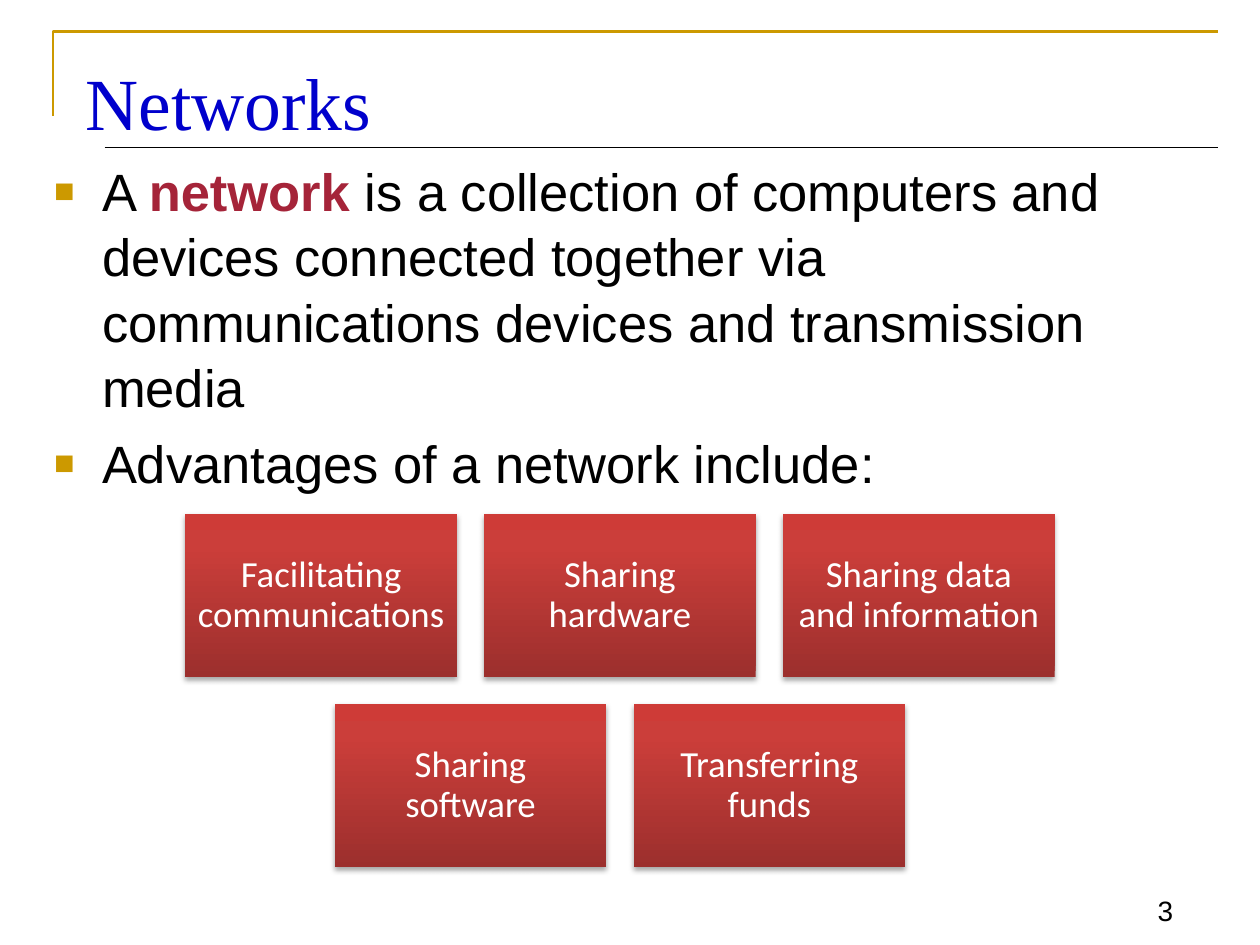
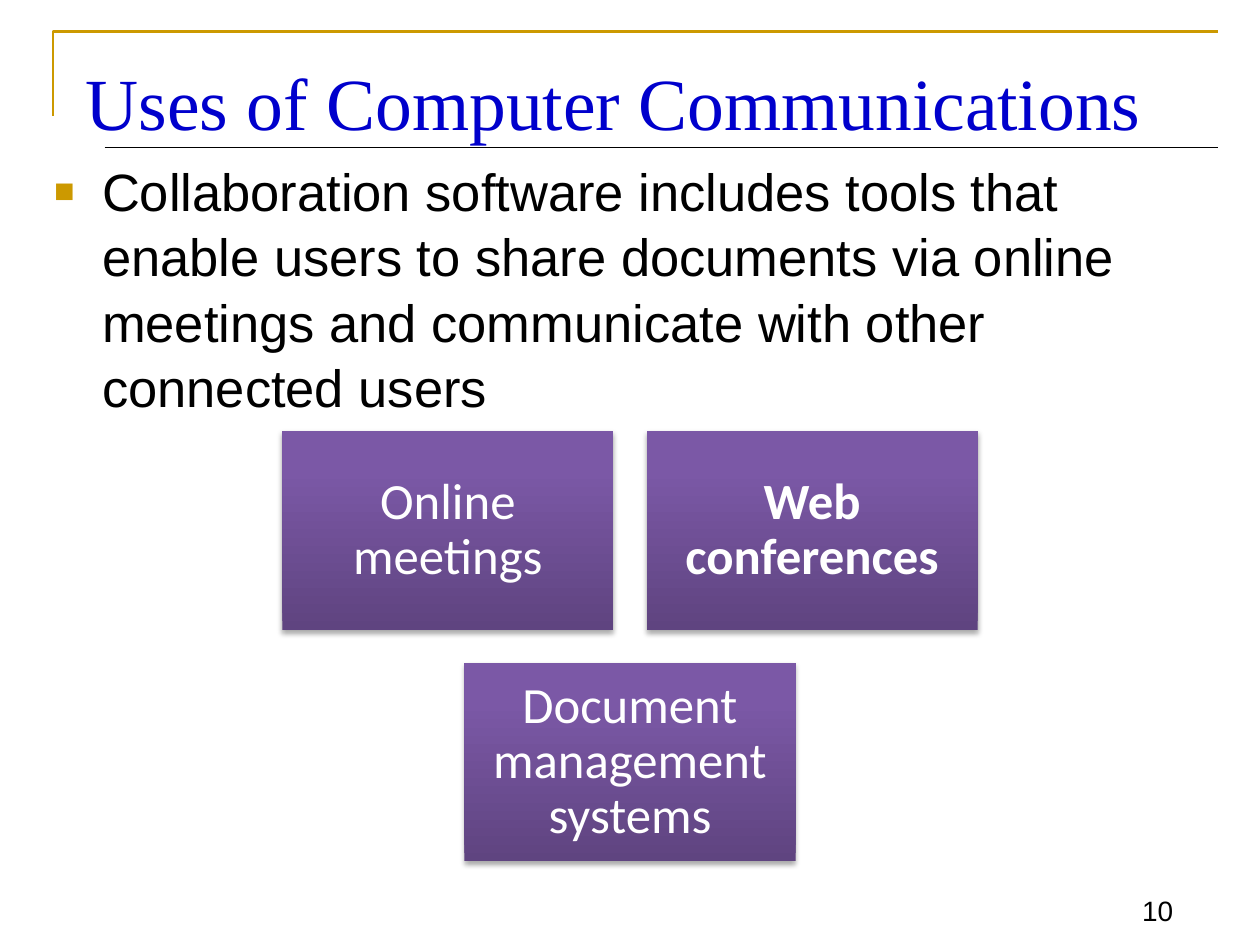
"""Builds two slides on computer networks with a shared frame and card grids."""
from collections import namedtuple

from lxml import etree
from pptx import Presentation
from pptx import util as u
from pptx.dml.color import RGBColor
from pptx.enum import shapes, text
from pptx.oxml import ns, parse_xml

Box = namedtuple("Box", "left top width height")

GOLD, BLACK, WHITE, BLUE, CRIMSON = "CC9900", "000000", "FFFFFF", "0000CC", "A52439"
RED_STOPS = [(0, "9C2F2D"), (80, "CB3E3A"), (100, "CE3B37")]
PURPLE_STOPS = [(0, "5F4480"), (80, "7B58A6"), (100, "7C57A8")]
FRAME = Box(0.42, 0.25, 9.25, 0.92)
TITLE = Box(0.58, 0.33, 9.08, 0.75)
NUMBER = Box(8.75, 6.92, 0.66, 0.49)


def colour(value):
    """Return the colour for a hex string."""
    return RGBColor.from_string(value)


def inches(box):
    """Return the four sides of a box as lengths."""
    return [u.Inches(side) for side in box]


def drawing(markup):
    """Return a DrawingML element made from markup."""
    return parse_xml(markup.replace(" ", f" {ns.nsdecls('a')} ", 1))


def write(para, words, size=30, font="Arial", color=BLACK, bold=False):
    """Add a formatted span to a paragraph."""
    span = para.add_run()
    span.text = words
    span.font.size = u.Pt(size)
    span.font.name = font
    span.font.bold = bold
    span.font.color.rgb = colour(color)


def prepare(shape, anchor, insets=(0.1, 0.05, 0.1, 0.05)):
    """Set wrapping, anchor and insets, and return the first paragraph."""
    frame = shape.text_frame
    frame.word_wrap = True
    frame.auto_size = text.MSO_AUTO_SIZE.NONE
    frame.vertical_anchor = anchor
    (frame.margin_left, frame.margin_top,
     frame.margin_right, frame.margin_bottom) = inches(insets)
    return frame.paragraphs[0]


def place(shape, box):
    """Move a placeholder to a box."""
    shape.left, shape.top, shape.width, shape.height = inches(box)


def add_frame(page, box):
    """Draw the gold corner and the rule below the title."""
    left, top, width, height = inches(box)
    right = left + width
    builder = page.shapes.build_freeform(left, top + u.Inches(0.67))
    builder.add_line_segments([(left, top), (right, top)], close=False)
    corner = builder.convert_to_shape()
    corner.shadow.inherit = False
    corner.fill.background()
    rule = page.shapes.add_connector(
        shapes.MSO_CONNECTOR.STRAIGHT, left + u.Inches(0.41), top + height, right, top + height)
    etree.SubElement(rule._element.spPr, ns.qn("a:effectLst"))
    for line, color, weight in ((corner.line, GOLD, 1.5), (rule.line, BLACK, 0.75)):
        line.color.rgb = colour(color)
        line.width = u.Pt(weight)


def add_number(page, box, number):
    """Write the page number at the lower right."""
    label = page.shapes.add_textbox(*inches(box))
    para = prepare(label, text.MSO_ANCHOR.BOTTOM)
    para.alignment = text.PP_ALIGN.RIGHT
    write(para, str(number), size=16)


def add_title(page, box, words):
    """Fill the title placeholder."""
    title = page.shapes.title
    place(title, box)
    para = prepare(title, text.MSO_ANCHOR.TOP, (0.1, 0.12, 0.1, 0))
    para.alignment = text.PP_ALIGN.LEFT
    write(para, words, size=42, font="Times New Roman", color=BLUE)


def add_bullet(para):
    """Give a paragraph a small gold square and a hanging indent."""
    para.line_spacing = 1.04
    para.space_before = u.Pt(6)
    properties = para._p.get_or_add_pPr()
    properties.set("marL", str(u.Inches(0.38)))
    properties.set("indent", str(u.Inches(-0.38)))
    for markup in (f'<a:buClr ><a:srgbClr val="{GOLD}"/></a:buClr>',
                   '<a:buSzPct val="65000"/>',
                   '<a:buFont typeface="Arial"/>',
                   '<a:buChar char="■"/>'):
        properties.append(drawing(markup))


def add_body(page, box, items):
    """Fill the body placeholder with bulleted items made of spans."""
    body = page.placeholders[1]
    place(body, box)
    para = prepare(body, text.MSO_ANCHOR.TOP, (0.1, 0.07, 0.1, 0.05))
    for index, spans in enumerate(items):
        if index:
            para = body.text_frame.add_paragraph()
        add_bullet(para)
        for words, style in spans:
            write(para, words, **style)


def add_card(page, box, words, stops, size, inset, bold):
    """Draw one shaded card with centred text."""
    card = page.shapes.add_shape(shapes.MSO_SHAPE.RECTANGLE, *inches(box))
    marks = "".join(f'<a:gs pos="{share * 1000}"><a:srgbClr val="{color}"/></a:gs>'
                    for share, color in stops)
    properties = card._element.spPr
    properties.append(drawing(f'<a:gradFill rotWithShape="1"><a:gsLst>{marks}</a:gsLst>'
                              '<a:lin ang="16200000" scaled="0"/></a:gradFill>'))
    card.line.fill.background()
    properties.append(drawing(
        f'<a:effectLst ><a:outerShdw blurRad="{u.Pt(3.1)}" dist="{u.Pt(1.8)}" dir="5400000" '
        f'rotWithShape="0"><a:srgbClr val="{BLACK}"><a:alpha val="35000"/></a:srgbClr>'
        '</a:outerShdw></a:effectLst>'))
    para = prepare(card, text.MSO_ANCHOR.MIDDLE, (inset,) * 4)
    para.alignment = text.PP_ALIGN.CENTER
    para.line_spacing = 0.9
    write(para, words, size=size, font="Calibri", color=WHITE, bold=bold)


def add_cards(page, box, rows, stops, size, inset, strong=()):
    """Centre rows of cards in a box, with gaps a tenth of a card wide."""
    most = max(len(row) for row in rows)
    width = box.width / (most + 0.1 * (most - 1))
    height, gap = 0.6 * width, 0.1 * width
    for level, row in enumerate(rows):
        span = len(row) * (width + gap) - gap
        left = box.left + (box.width - span) / 2
        top = box.top + level * (height + gap)
        for column, words in enumerate(row):
            place_box = Box(left + column * (width + gap), top, width, height)
            add_card(page, place_box, words, stops, size, inset, words in strong)


def add_page(deck, number, title, body_box, items):
    """Add a page with the shared frame, title, list and number."""
    page = deck.slides.add_slide(deck.slide_layouts[1])
    add_frame(page, FRAME)
    add_number(page, NUMBER, number)
    add_title(page, TITLE, title)
    add_body(page, body_box, items)
    return page


def main():
    """Build and save the deck."""
    deck = Presentation()
    deck.slide_width, deck.slide_height = u.Inches(10), u.Inches(7.5)

    networks = add_page(deck, 3, "Networks", Box(0.33, 1.17, 9.33, 2.75), [
        [("A ", {}),
         ("network", {"color": CRIMSON, "bold": True}),
         (" is a collection of computers and devices connected together via "
          "communications devices and transmission media", {})],
        [("Advantages of a network include:", {})],
    ])
    add_cards(networks, Box(1.47, 4.08, 6.9, 2.8), [
        ["Facilitating communications", "Sharing hardware", "Sharing data and information"],
        ["Sharing software", "Transferring funds"],
    ], RED_STOPS, size=21, inset=0.09)

    uses = add_page(deck, 10, "Uses of Computer Communications", Box(0.33, 1.17, 9.33, 2.58), [
        [("Collaboration software includes tools that enable users to share documents via "
          "online meetings and communicate with other connected users", {})],
    ])
    add_cards(uses, Box(2.24, 3.42, 5.52, 3.42), [
        ["Online meetings", "Web conferences"],
        ["Document management systems"],
    ], PURPLE_STOPS, size=29, inset=0.12, strong=["Web conferences"])

    deck.save("out.pptx")


if __name__ == "__main__":
    main()
